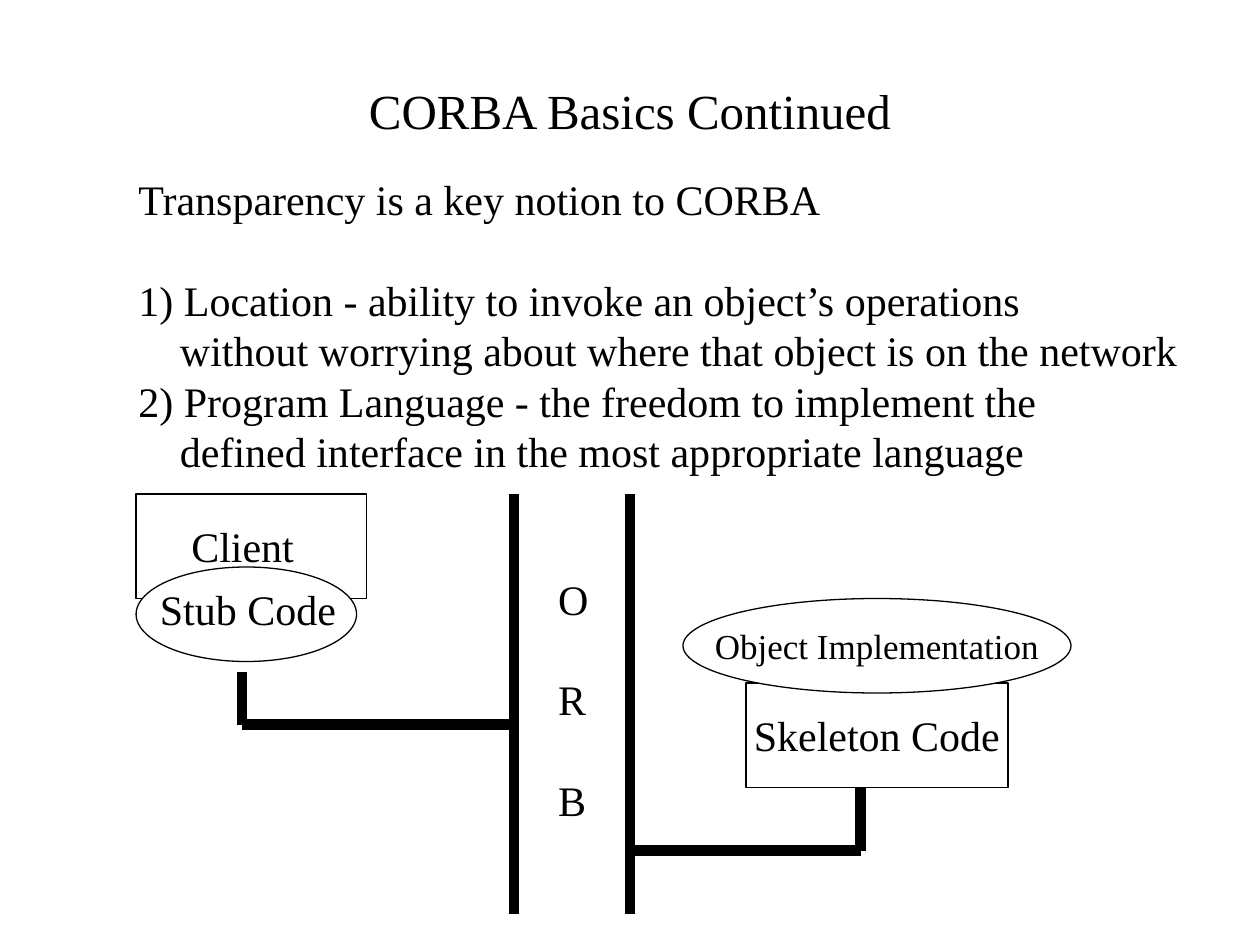
from pptx import Presentation
from pptx.dml.color import RGBColor
from pptx.enum.shapes import MSO_CONNECTOR as Connector, MSO_SHAPE as Preset
from pptx.enum.text import MSO_ANCHOR as Anchor, PP_ALIGN as Align
from pptx.oxml.ns import qn
from pptx.util import Inches, Pt
from lxml import etree

COLORS = {"ink": "000000", "paper": "FFFFFF"}
FONT = "Times New Roman"
LINE_RATIO = 1.2
HANGING = 0.33


def color(name):
    return RGBColor.from_string(COLORS[name])


def write(paragraph, lines, size=24, align=Align.LEFT, gap=0):
    paragraph.alignment = align
    paragraph.space_before = Pt(gap)
    paragraph.line_spacing = Pt(size * LINE_RATIO)
    for index, line in enumerate(lines):
        if index:
            paragraph.add_line_break()
        run = paragraph.add_run()
        run.text = line
        run.font.name = FONT
        run.font.size = Pt(size)
        run.font.color.rgb = color("ink")


def add_text_box(slide, box, wrap=True):
    frame = slide.shapes.add_textbox(*map(Inches, box)).text_frame
    frame.word_wrap = wrap
    return frame


def add_label(slide, box, text):
    write(add_text_box(slide, box).paragraphs[0], [text])


def add_node(slide, preset, box, text=None, size=24):
    shape = slide.shapes.add_shape(preset, *map(Inches, box))
    shape.shadow.inherit = False
    shape.fill.solid()
    shape.fill.fore_color.rgb = color("paper")
    shape.line.color.rgb = color("ink")
    shape.line.width = Pt(0.75)
    if text:
        frame = shape.text_frame
        frame.word_wrap = False
        frame.vertical_anchor = Anchor.MIDDLE
        write(frame.paragraphs[0], [text], size, Align.CENTER)


def add_thick_line(slide, start, end):
    line = slide.shapes.add_connector(
        Connector.STRAIGHT, *map(Inches, (*start, *end)))
    line.line.color.rgb = color("ink")
    line.line.width = Pt(6)
    etree.SubElement(line._element.spPr, qn("a:effectLst"))


def add_title(slide, box):
    frame = add_text_box(slide, box)
    frame.vertical_anchor = Anchor.MIDDLE
    write(frame.paragraphs[0], ["CORBA Basics Continued"], 28, Align.CENTER)


def add_transparency_notes(slide, box):
    frame = add_text_box(slide, box, wrap=False)
    write(frame.paragraphs[0], ["Transparency is a key notion to CORBA"])
    items = [
        ["1) Location - ability to invoke an object’s operations",
         "without worrying about where that object is on the network"],
        ["2) Program Language - the freedom to implement the",
         "defined interface in the most appropriate language"],
    ]
    for index, lines in enumerate(items):
        paragraph = frame.add_paragraph()
        properties = paragraph._p.get_or_add_pPr()
        properties.set("marL", str(Inches(HANGING)))
        properties.set("indent", str(-Inches(HANGING)))
        write(paragraph, lines, gap=0 if index else 24 * LINE_RATIO)


def add_client(slide, box, bus_left):
    left, top, width, height = box
    add_node(slide, Preset.RECTANGLE, (left, top, width, 0.83))
    add_label(slide, (left + 0.34, top + 0.16, 1.17, 0.5), "Client")
    add_node(slide, Preset.OVAL, (left, top + 0.58, 1.75, 0.75))
    add_label(slide, (left + 0.09, top + 0.66, 1.92, 0.5), "Stub Code")
    stem, bottom = left + 0.84, top + height
    add_thick_line(slide, (stem, top + 1.41), (stem, bottom))
    add_thick_line(slide, (stem, bottom), (bus_left, bottom))


def add_bus(slide, box):
    left, top, width, height = box
    for x in (left, left + width):
        add_thick_line(slide, (x, top + height), (x, top))
    frame = add_text_box(slide, (left + 0.17, top + 0.58, 0.58, 2.1))
    frame.margin_left = Inches(0.18)
    for index, letter in enumerate("ORB"):
        paragraph = frame.add_paragraph() if index else frame.paragraphs[0]
        write(paragraph, [letter], gap=24 * LINE_RATIO if index else 0)


def add_implementation(slide, box, bus_right):
    left, top, width, height = box
    add_node(slide, Preset.RECTANGLE, (left + 0.5, top + 0.67, 2.08, 0.83),
             "Skeleton Code")
    add_node(slide, Preset.OVAL, (left, top, width, 0.75),
             "Object Implementation", 20)
    stem, bottom = left + 1.41, top + height
    add_thick_line(slide, (bus_right, bottom), (stem, bottom))
    add_thick_line(slide, (stem, bottom), (stem, top + 1.5))


def main():
    presentation = Presentation()
    presentation.slide_width = Inches(10)
    presentation.slide_height = Inches(7.5)
    slide = presentation.slides.add_slide(presentation.slide_layouts[6])
    bus_left, bus_right, diagram_top = 4.08, 5, 3.92
    add_title(slide, (0.75, 0.25, 8.5, 1.25))
    add_transparency_notes(slide, (1, 1.33, 8.45, 2.5))
    add_client(slide, (1.08, diagram_top, 1.83, 1.83), bus_left)
    add_bus(slide, (bus_left, diagram_top, bus_right - bus_left, 3.33))
    add_implementation(slide, (5.42, 4.75, 3.08, 2), bus_right)
    presentation.save("out.pptx")


if __name__ == "__main__":
    main()
